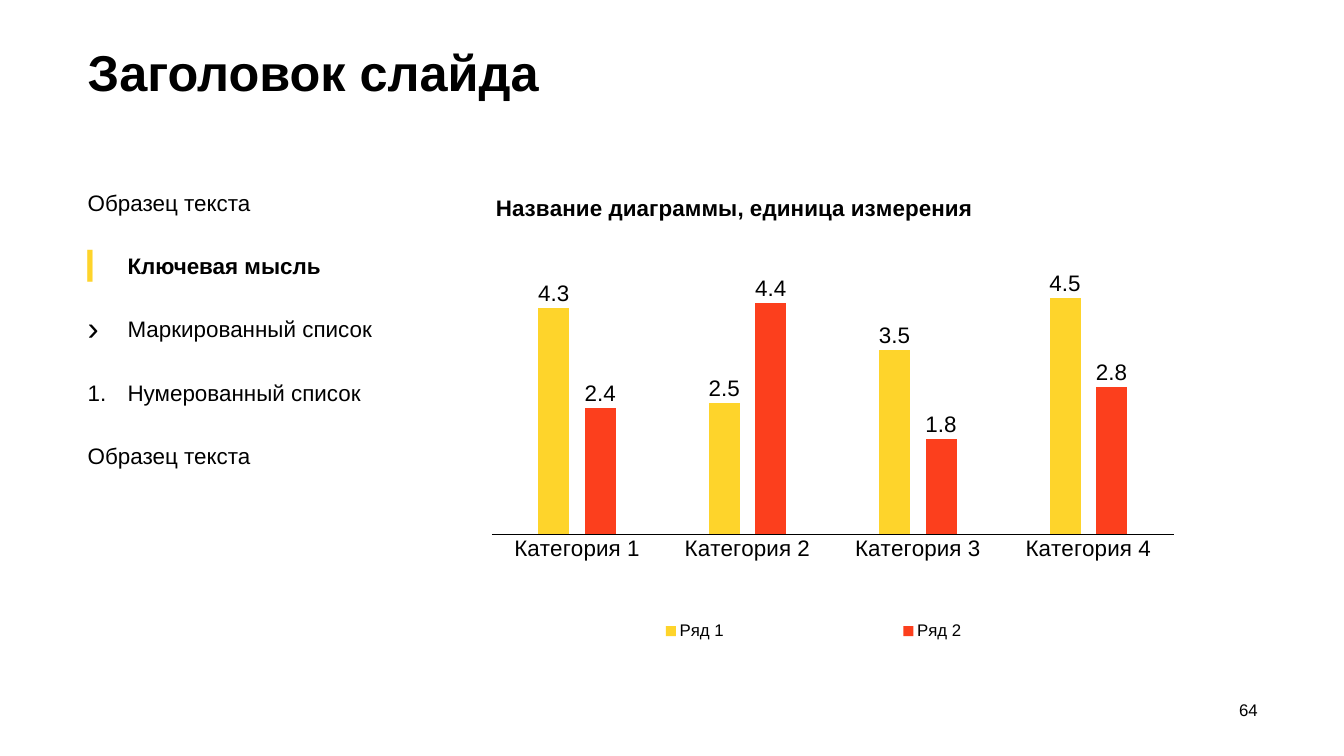
from dataclasses import dataclass, field
from typing import Any

from lxml.etree import SubElement
from pptx import Presentation
from pptx.chart.data import CategoryChartData
from pptx.dml.color import RGBColor
from pptx.enum.chart import (XL_CHART_TYPE, XL_LABEL_POSITION,
                             XL_LEGEND_POSITION, XL_TICK_MARK)
from pptx.enum.text import MSO_ANCHOR, PP_ALIGN
from pptx.oxml.ns import qn
from pptx.util import Emu, Pt

SCALE = 9144  # EMU in one px, 100 px to the inch


@dataclass(frozen=True)
class Theme:
    face: str = "Arial"
    ink: str = "000000"
    gold: str = "FED42B"
    red: str = "FC3F1D"
    head: int = 72
    body: int = 32
    small: int = 24
    gap: int = 52


@dataclass(frozen=True)
class Para:
    text: str
    size: int
    bold: bool = False
    mark: str = ""  # bullet sign, or "1." for a numbered list
    tint: str = ""
    grow: int = 100
    align: Any = PP_ALIGN.LEFT


@dataclass(frozen=True)
class Box:
    left: int
    top: int
    width: int
    height: int
    paras: list[Para] = field(default_factory=list)
    inset: int = 0
    anchor: Any = MSO_ANCHOR.TOP


@dataclass(frozen=True)
class Series:
    name: str
    vals: tuple[float, ...]
    color: str


THEME = Theme()
HANG = 79


def px(num: int) -> Emu:
    return Emu(num * SCALE)


def apply(item: Any, values: dict[str, Any]) -> None:
    for key, val in values.items():
        setattr(item, key, val)


def style(font: Any, size: int, bold: bool = False) -> None:
    apply(font, {"name": THEME.face, "size": Pt(size), "bold": bold})
    font.color.rgb = RGBColor.from_string(THEME.ink)


def add_mark(par: Any, item: Para) -> None:
    props = par._p.get_or_add_pPr()
    apply_xml = {"marL": px(HANG), "indent": px(-HANG)}
    for key, val in apply_xml.items():
        props.set(key, str(int(val)))
    if item.tint:
        color = SubElement(props, qn("a:buClr"))
        SubElement(color, qn("a:srgbClr"), val=item.tint)
    SubElement(props, qn("a:buSzPct"), val=str(item.grow * 1000))
    SubElement(props, qn("a:buFont"), typeface=THEME.face)
    if item.mark == "1.":
        SubElement(props, qn("a:buAutoNum"), type="arabicPeriod")
    else:
        SubElement(props, qn("a:buChar"), char=item.mark)


def add_text(slide: Any, box: Box) -> None:
    shape = slide.shapes.add_textbox(
        px(box.left), px(box.top), px(box.width), px(box.height))
    frame = shape.text_frame
    apply(frame, {"word_wrap": True, "vertical_anchor": box.anchor,
                  "margin_left": 0, "margin_right": 0, "margin_bottom": 0,
                  "margin_top": px(box.inset)})
    for num, item in enumerate(box.paras):
        par = frame.add_paragraph() if num else frame.paragraphs[0]
        if item.mark:
            add_mark(par, item)
        run = par.add_run()
        run.text = item.text
        style(run.font, item.size, item.bold)
        par.alignment = item.align
        if len(box.paras) > 1:
            par.space_after = Pt(THEME.gap)


def place(node: Any, index: int, spots: dict[str, float],
          inner: bool = False) -> None:
    """Give a chart part a fixed place, in shares of the chart."""
    for old in node.findall(qn("c:layout")):
        node.remove(old)
    layout = SubElement(node, qn("c:layout"))
    node.insert(index, layout)
    manual = SubElement(layout, qn("c:manualLayout"))
    if inner:
        SubElement(manual, qn("c:layoutTarget"), val="inner")
    for key in ("xMode", "yMode"):
        SubElement(manual, qn(f"c:{key}"), val="edge")
    for key, val in spots.items():
        SubElement(manual, qn(f"c:{key}"), val=str(val))


def add_graph(slide: Any, box: Box, title: str, cats: list[str],
              rows: list[Series]) -> None:
    data = CategoryChartData()
    data.categories = cats
    for row in rows:
        data.add_series(row.name, row.vals)
    chart = slide.shapes.add_chart(
        XL_CHART_TYPE.COLUMN_CLUSTERED, px(box.left), px(box.top),
        px(box.width), px(box.height), data).chart
    style(chart.font, THEME.body)

    # Title and legend
    run = chart.chart_title.text_frame.paragraphs[0].add_run()
    run.text = title
    style(run.font, THEME.body, True)
    place(chart.chart_title._element, 1, {"x": 0, "y": 0})
    chart.has_legend = True
    apply(chart.legend, {"position": XL_LEGEND_POSITION.BOTTOM,
                         "include_in_layout": False})
    style(chart.legend.font, THEME.small)
    place(chart.legend._element, 1,
          {"x": 0, "y": 0.87, "w": 0.84, "h": 0.08})

    # Axes
    apply(chart.value_axis, {"visible": False, "minimum_scale": 0,
                             "maximum_scale": 5,
                             "has_major_gridlines": False})
    axis = chart.category_axis
    apply(axis, {"major_tick_mark": XL_TICK_MARK.NONE,
                 "minor_tick_mark": XL_TICK_MARK.NONE})
    style(axis.tick_labels.font, THEME.body)
    axis.format.line.width = Pt(1)
    axis.format.line.color.rgb = RGBColor.from_string(THEME.ink)

    # Columns
    plot = chart.plots[0]
    apply(plot, {"gap_width": 300, "overlap": -50,
                 "vary_by_categories": False})
    for row, bar in zip(rows, plot.series):
        bar.format.fill.solid()
        bar.format.fill.fore_color.rgb = RGBColor.from_string(row.color)
        apply(bar.data_labels, {"show_value": True,
                                "position": XL_LABEL_POSITION.OUTSIDE_END})
        style(bar.data_labels.font, THEME.body)
    place(chart._chartSpace.chart.plotArea, 0,
          {"x": 0, "y": 0.17, "w": 0.89, "h": 0.54}, True)


def main() -> None:
    deck = Presentation()
    apply(deck, {"slide_width": px(2666), "slide_height": px(1500)})
    slide = deck.slides.add_slide(deck.slide_layouts[6])
    size = THEME.body

    # Heading, list and page number
    boxes = [
        Box(174, 60, 2322, 159,
            [Para("Заголовок слайда", THEME.head, True)], 22),
        Box(174, 375, 720, 964, [
            Para("Образец текста", size),
            Para("Ключевая мысль", size, True, "▎", THEME.gold, 120),
            Para("Маркированный список", size, mark="›", grow=150),
            Para("Нумерованный список", size, mark="1."),
            Para("Образец текста", size)]),
        Box(2375, 1380, 120, 48,
            [Para("64", THEME.small, align=PP_ALIGN.RIGHT)], 8,
            MSO_ANCHOR.MIDDLE),
    ]
    for box in boxes:
        add_text(slide, box)

    # Column chart
    add_graph(slide, Box(975, 375, 1520, 964),
              "Название диаграммы, единица измерения",
              [f"Категория {num}" for num in range(1, 5)],
              [Series("Ряд 1", (4.3, 2.5, 3.5, 4.5), THEME.gold),
               Series("Ряд 2", (2.4, 4.4, 1.8, 2.8), THEME.red)])
    deck.save("out.pptx")


if __name__ == "__main__":
    main()
